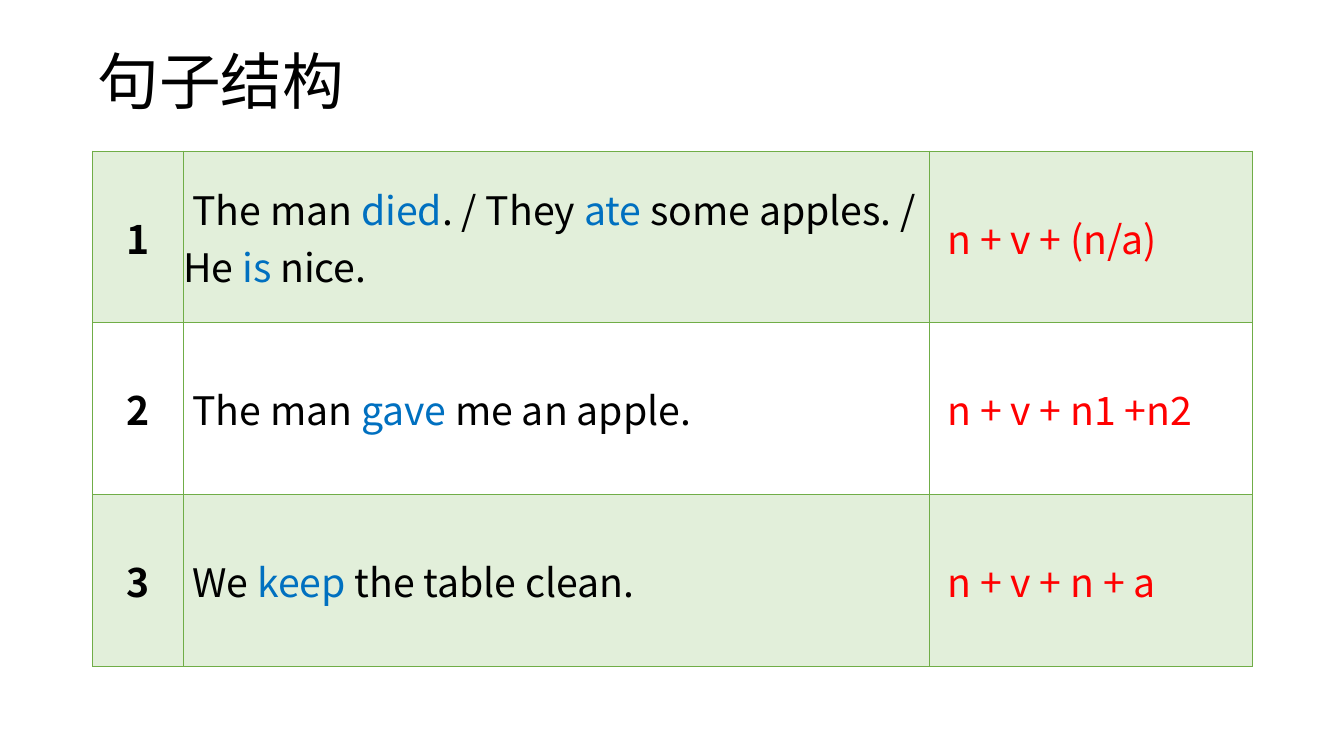
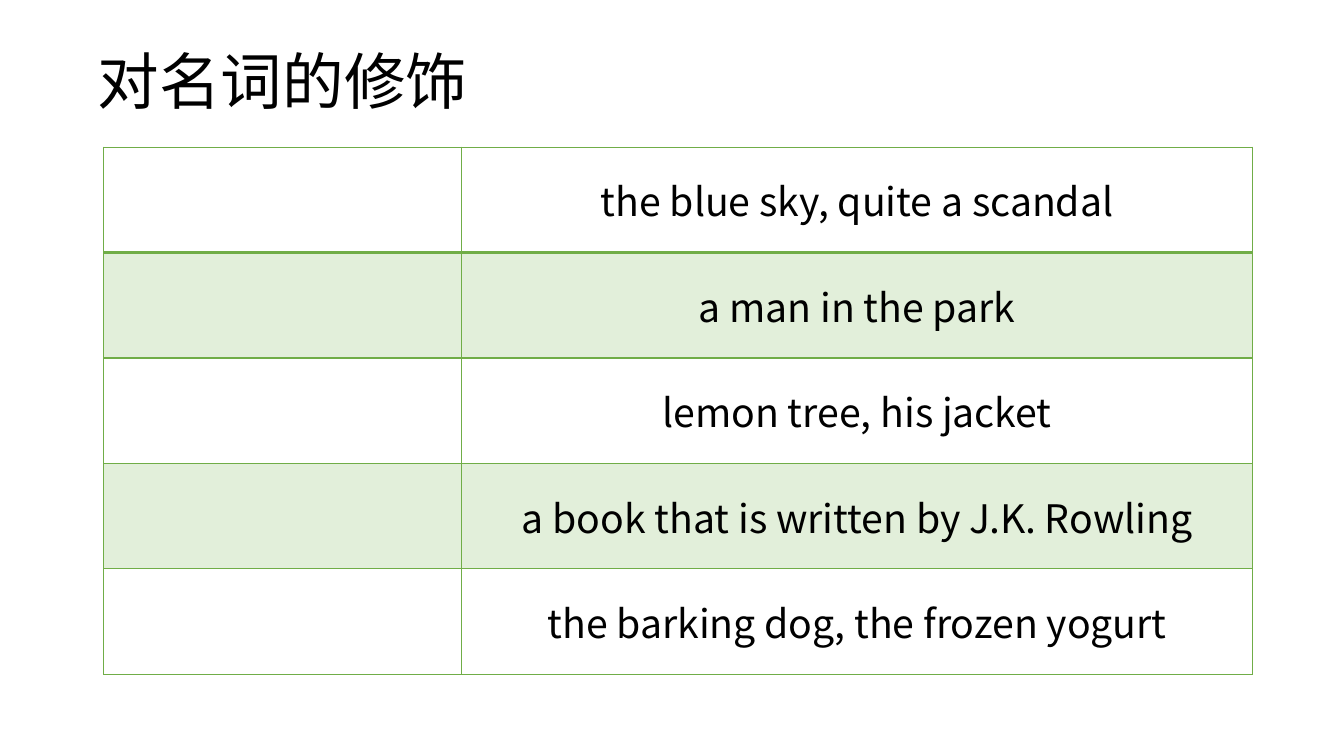
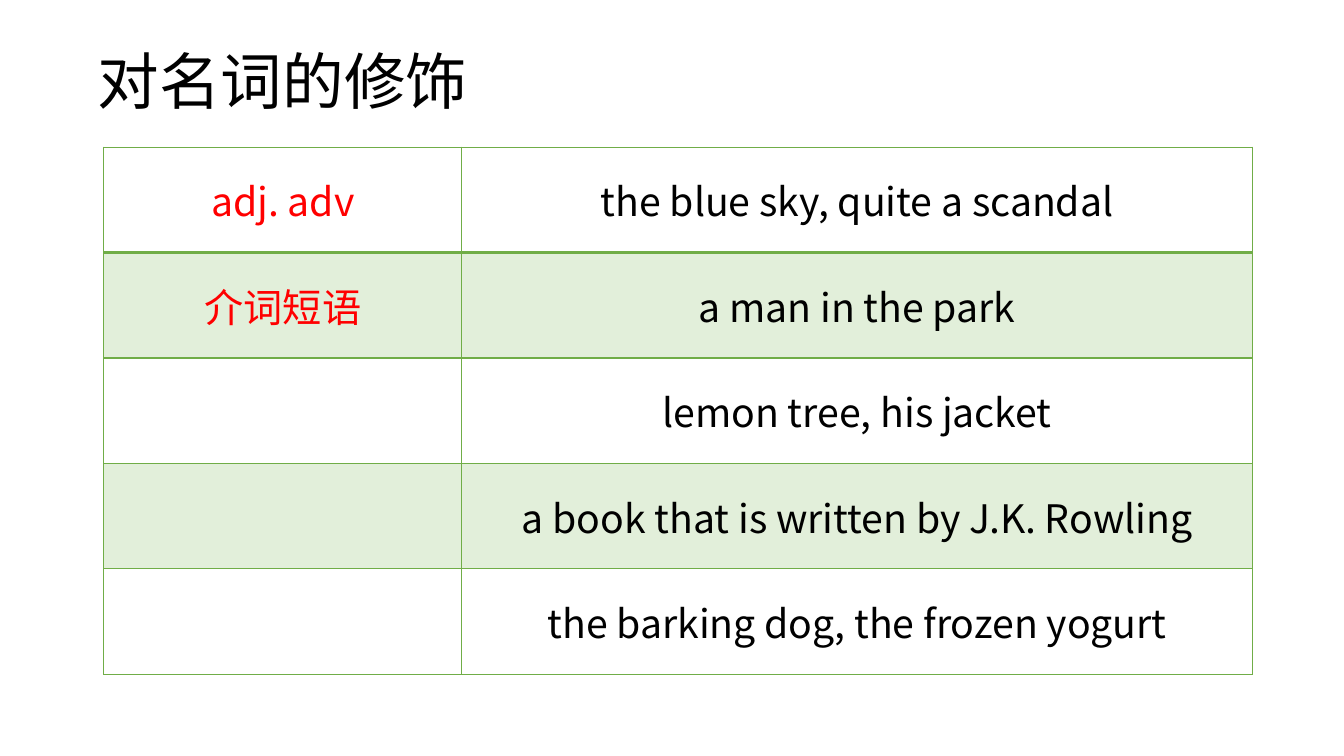
from lxml import etree
from pptx import Presentation
from pptx.dml.color import RGBColor
from pptx.enum.text import MSO_ANCHOR, PP_ALIGN
from pptx.oxml.ns import qn
from pptx.util import Inches, Pt

MIDDLE = MSO_ANCHOR.MIDDLE
LEFT, CENTER = PP_ALIGN.LEFT, PP_ALIGN.CENTER
FONT = "Noto Sans CJK SC"
COLORS = {
    "text": "000000",
    "verb": "0070C0",
    "answer": "FF0000",
    "border": "70AD47",
    "band": "E2EFDA",
    "plain": "FFFFFF",
}

# How each table column is set: ink, alignment, weight, indents in inches
NUMBER = {"align": CENTER, "bold": True}
SENTENCE = {"first_indent": 0.09}
FORMULA = {"ink": "answer", "margin": 0.18}
KIND = {"ink": "answer", "align": CENTER}
EXAMPLE = {"align": CENTER}

STRUCTURES = [
    ("1", "The man *died*. / They *ate* some apples. / He *is* nice.", "n + v + (n/a)"),
    ("2", "The man *gave* me an apple.", "n + v + n1 +n2"),
    ("3", "We *keep* the table clean.", "n + v + n + a"),
]
EXAMPLES = [
    "the blue sky, quite a scandal",
    "a man in the park",
    "lemon tree, his jacket",
    "a book that is written by J.K. Rowling",
    "the barking dog, the frozen yogurt",
]


class Lesson:
    """The deck, its style and the current page; places are percent of the page."""

    def __init__(self):
        self.deck = Presentation()
        self.deck.slide_width = Inches(13.33)
        self.deck.slide_height = Inches(7.5)
        self.page = None

    def place(self, left, top, width, height):
        across, down = self.deck.slide_width / 100, self.deck.slide_height / 100
        return int(left * across), int(top * down), int(width * across), int(height * down)

    def style(self, span, size, ink, bold=False):
        span.font.size = Pt(size)
        span.font.bold = bold
        span.font.name = FONT
        span.font.color.rgb = RGBColor.from_string(COLORS[ink])
        etree.SubElement(span.font._element, qn("a:ea"), typeface=FONT)

    def new_page(self, title):
        self.page = self.deck.slides.add_slide(self.deck.slide_layouts[6])
        box = self.page.shapes.add_textbox(*self.place(6.9, 5.33, 86.27, 11.6))
        frame = box.text_frame
        frame.word_wrap = True
        frame.vertical_anchor = MIDDLE
        frame.margin_left = frame.margin_right = Inches(0.05)
        frame.margin_top = frame.margin_bottom = Inches(0.05)
        frame.text = title
        para = frame.paragraphs[0]
        para.line_spacing = 0.9
        self.style(para.runs[0], 44, "text")

    def borders(self, cell, top, bottom):
        props = cell._tc.get_or_add_tcPr()
        for side, points in (("L", 1), ("R", 1), ("T", top), ("B", bottom)):
            line = etree.SubElement(props, qn(f"a:ln{side}"), w=str(Pt(points)))
            fill = etree.SubElement(line, qn("a:solidFill"))
            etree.SubElement(fill, qn("a:srgbClr"), val=COLORS["border"])

    def cell_text(self, cell, text, ink="text", align=LEFT, bold=False, margin=0, first_indent=0):
        """Fill a cell; words between asterisks take the verb colour."""
        cell.vertical_anchor = MIDDLE
        cell.margin_left = Inches(margin)
        cell.margin_right = cell.margin_top = cell.margin_bottom = 0
        para = cell.text_frame.paragraphs[0]
        para.alignment = align
        if first_indent:
            para._p.get_or_add_pPr().set("indent", str(Inches(first_indent)))
        for index, part in enumerate(text.split("*")):
            if part:
                span = para.add_run()
                span.text = part
                self.style(span, 28, "verb" if index % 2 else ink, bold)

    def table(self, area, widths, columns, rows, first_band, first_rule=1):
        """Banded table; first_rule is the weight of the line below row one."""
        left, top, width, height = self.place(*area)
        frame = self.page.shapes.add_table(len(rows), len(widths), left, top, width, height)
        grid = frame.table
        grid.first_row = grid.horz_banding = False
        for column, share in zip(grid.columns, widths):
            column.width = int(width * share / sum(widths))
        for r, texts in enumerate(rows):
            grid.rows[r].height = height // len(rows)
            fill = "band" if r % 2 == first_band else "plain"
            for c, text in enumerate(texts):
                cell = grid.cell(r, c)
                self.borders(cell, first_rule if r == 1 else 1, first_rule if r == 0 else 1)
                cell.fill.solid()
                cell.fill.fore_color.rgb = RGBColor.from_string(COLORS[fill])
                self.cell_text(cell, text, **columns[c])


def main():
    lesson = Lesson()

    # Sentence structures
    lesson.new_page("句子结构")
    lesson.table((6.9, 20, 86.27, 68.13), (0.9, 7.4, 3.2),
                 (NUMBER, SENTENCE, FORMULA), STRUCTURES, first_band=0)

    # Noun modifiers: the question, then the first answers
    for answers in ([], ["adj. adv", "介词短语"]):
        kinds = answers + [""] * (len(EXAMPLES) - len(answers))
        lesson.new_page("对名词的修饰")
        lesson.table((7.73, 19.47, 85.45, 69.73), (3.55, 7.84),
                     (KIND, EXAMPLE), list(zip(kinds, EXAMPLES)),
                     first_band=1, first_rule=2)

    lesson.deck.save("out.pptx")


if __name__ == "__main__":
    main()
